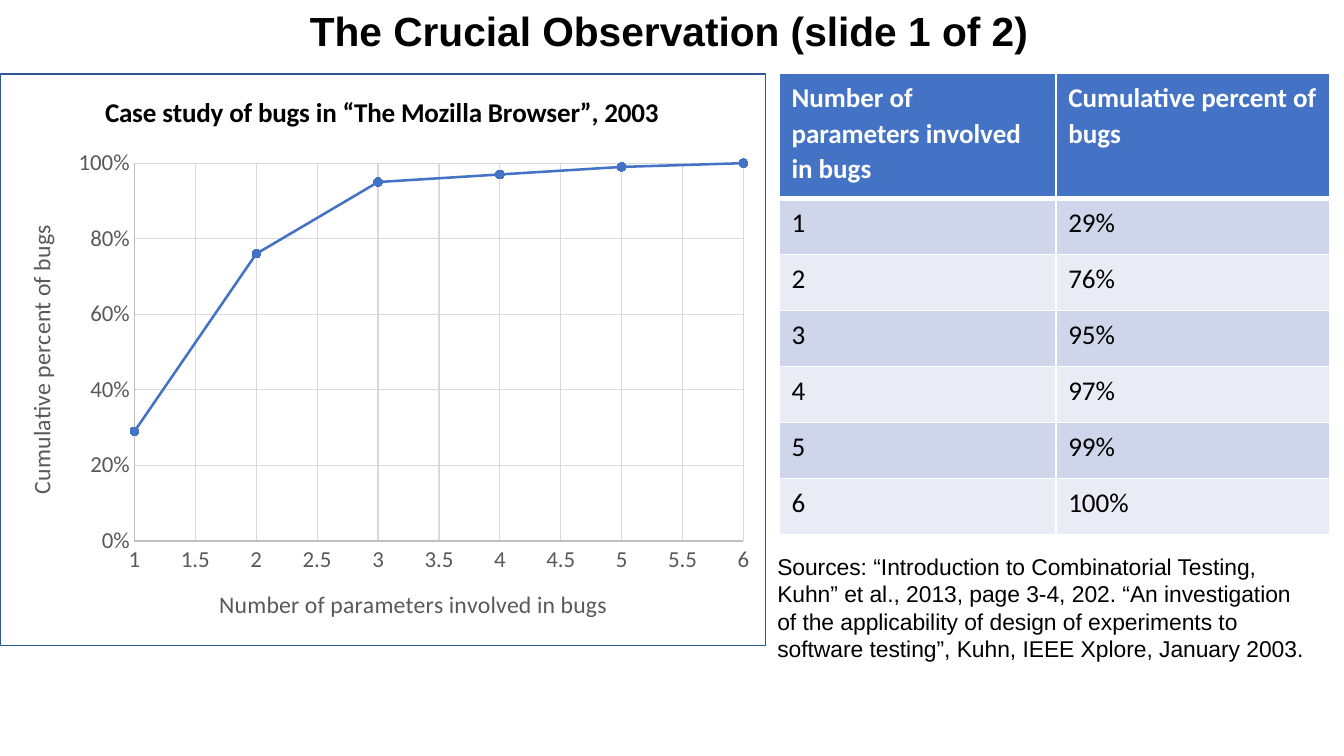
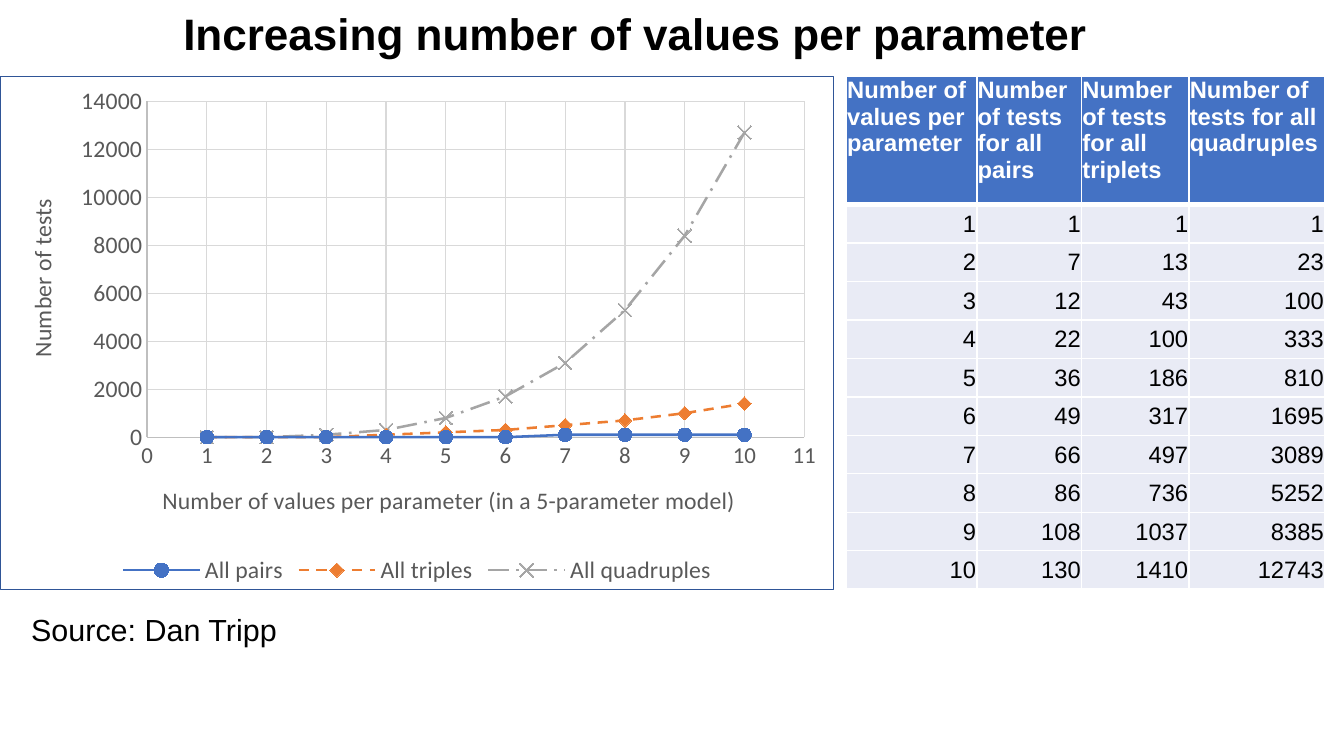
import pptx
import pptx.chart.data
import pptx.dml.color
import pptx.enum.chart
import pptx.enum.dml
import pptx.enum.text
import pptx.oxml
import pptx.oxml.ns
import pptx.util
from lxml import etree

Pt = pptx.util.Pt
RGBColor = pptx.dml.color.RGBColor
MARKER = pptx.enum.chart.XL_MARKER_STYLE
DASH = pptx.enum.dml.MSO_LINE
ALIGN = pptx.enum.text.PP_ALIGN
ANCHOR = pptx.enum.text.MSO_ANCHOR
qn = pptx.oxml.ns.qn

# Shared look
BLACK = RGBColor(0x00, 0x00, 0x00)
WHITE = RGBColor(0xFF, 0xFF, 0xFF)
GREY_TEXT = RGBColor(0x59, 0x59, 0x59)
AXIS_LINE = RGBColor(0xBF, 0xBF, 0xBF)
GRID_LINE = RGBColor(0xD9, 0xD9, 0xD9)
FRAME_LINE = RGBColor(0x2F, 0x55, 0x97)
BLUE = RGBColor(0x44, 0x72, 0xC4)
ORANGE = RGBColor(0xED, 0x7D, 0x31)
GREY = RGBColor(0xA5, 0xA5, 0xA5)
BAND_DARK = RGBColor(0xCF, 0xD5, 0xEA)
BAND_LIGHT = RGBColor(0xE9, 0xEB, 0xF5)
AXIS_FONT = {"name": "Calibri", "size": Pt(14), "bold": False, "color": GREY_TEXT}
SLIDE_SIZE = (793.44, 446.4)

# Content
BUG_ROWS = [(1, 0.29), (2, 0.76), (3, 0.95), (4, 0.97), (5, 0.99), (6, 1)]
TEST_ROWS = [
    (1, 1, 1, 1), (2, 7, 13, 23), (3, 12, 43, 100), (4, 22, 100, 333),
    (5, 36, 186, 810), (6, 49, 317, 1695), (7, 66, 497, 3089),
    (8, 86, 736, 5252), (9, 108, 1037, 8385), (10, 130, 1410, 12743),
]

# Boxes are left, top, width, height in points; chart layouts are fractions
SLIDES = [
    {
        "title": {"text": "The Crucial Observation (slide 1 of 2)",
                  "box": (175.7, 0, 442, 36), "size": 24},
        "chart": {
            "box": (0, 43.4, 452.4, 338.2),
            "plot": (0.175, 0.156, 0.796, 0.661),
            "rows": BUG_ROWS, "digits": 2,
            "series": [("Series 1", BLUE, None, MARKER.CIRCLE, 5)],
            "title": ("Case study of bugs in “The Mozilla Browser”, 2003", (0.13, 0.027)),
            "x_title": ("Number of parameters involved in bugs", (0.28, 0.892)),
            "y_title": ("Cumulative percent of bugs", (0.026, 0.257)),
            "x_scale": (1, 6, 0.5), "y_scale": (0, 1, 0.2),
            "y_format": "0%", "y_size": 13.5, "legend": False,
        },
        "table": {
            "box": (460.1, 43.4), "columns": (163.4, 161.3), "heights": (73.8, 33.1),
            "head": ["Number of parameters involved in bugs", "Cumulative percent of bugs"],
            "rows": [(count, f"{share:.0%}") for count, share in BUG_ROWS],
            "bands": (BAND_DARK, BAND_LIGHT),
            "font": {"name": "Calibri", "size": Pt(16)},
            "para": {"line_spacing": 1.07, "space_after": Pt(8)},
            "body_para": {}, "cell": {}, "body_cell": {},
        },
        "source": {
            "text": "Sources: “Introduction to Combinatorial Testing, Kuhn” et al., 2013, "
                    "page 3-4, 202. “An investigation of the applicability of design of "
                    "experiments to software testing”, Kuhn, IEEE Xplore, January 2003.",
            "box": (451.8, 322.8, 330, 69.8), "size": 13.5},
    },
    {
        "title": {"text": "Increasing number of values per parameter",
                  "box": (101, 0, 553.7, 38.9), "size": 26},
        "chart": {
            "box": (0, 45, 492.4, 303.5),
            "plot": (0.176, 0.048, 0.789, 0.655),
            "rows": TEST_ROWS, "digits": -2,
            "series": [("All pairs", BLUE, None, MARKER.CIRCLE, 8),
                       ("All triples", ORANGE, DASH.DASH, MARKER.DIAMOND, 8),
                       ("All quadruples", GREY, DASH.LONG_DASH_DOT, MARKER.X, 8)],
            "title": None,
            "x_title": ("Number of values per parameter (in a 5-parameter model)", (0.189, 0.785)),
            "y_title": ("Number of tests", (0.025, 0.23)),
            "x_scale": (0, 11, 1), "y_scale": (0, 14000, 2000),
            "y_format": "General", "y_size": 14, "legend": True,
        },
        "table": {
            "box": (499.7, 45), "columns": (77, 61.9, 63.4, 80.1), "heights": (75.8, 22.73),
            "head": ["Number of values per parameter", "Number of tests for all pairs",
                     "Number of tests for all triplets", "Number of tests for all quadruples"],
            "rows": TEST_ROWS,
            "bands": (BAND_LIGHT, BAND_LIGHT),
            "font": {"name": "Arial", "size": Pt(14)},
            "para": {}, "body_para": {"alignment": ALIGN.RIGHT},
            "cell": {"margin_left": Pt(0.5), "margin_right": Pt(0.5),
                     "margin_top": Pt(0.5), "margin_bottom": 0},
            "body_cell": {"vertical_anchor": ANCHOR.MIDDLE},
        },
        "source": {"text": "Source: Dan Tripp", "box": (11.3, 357.1, 171.4, 28.1), "size": 18},
    },
]


def apply(target, values):
    for name, value in values.items():
        if name == "color":
            target.color.rgb = value
        else:
            setattr(target, name, value)


def points(values):
    return [Pt(value) for value in values]


def write(frame, text, font, para_format):
    frame.text = text
    para = frame.paragraphs[0]
    apply(para, para_format)
    apply(para.runs[0].font, font)


def add_title(page, title):
    box = page.shapes.title
    box.left, box.top, box.width, box.height = points(title["box"])
    write(box.text_frame, title["text"],
          {"name": "Arial", "size": Pt(title["size"]), "bold": True, "color": BLACK},
          {"alignment": ALIGN.LEFT})
    apply(box.text_frame, {"word_wrap": False, "vertical_anchor": ANCHOR.TOP,
                           "auto_size": pptx.enum.text.MSO_AUTO_SIZE.NONE})


def add_source(page, source):
    box = page.shapes.add_textbox(*points(source["box"]))
    box.text_frame.word_wrap = True
    write(box.text_frame, source["text"],
          {"name": "Arial", "size": Pt(source["size"]), "color": BLACK}, {})


# Chart
def manual_layout(fractions, inner=False):
    layout = etree.Element(qn("c:layout"))
    manual = etree.SubElement(layout, qn("c:manualLayout"))
    settings = [("layoutTarget", "inner")] if inner else []
    settings += [("xMode", "edge"), ("yMode", "edge")]
    settings += zip("xywh", fractions)
    for tag, value in settings:
        etree.SubElement(manual, qn(f"c:{tag}")).set("val", str(value))
    return layout


def set_layout(parent, layout, after=None):
    for old in parent.findall(qn("c:layout")):
        parent.remove(old)
    if after is None:
        parent.insert(0, layout)
    else:
        parent.find(qn(after)).addnext(layout)


def set_chart_title(owner, label, font):
    text, corner = label
    title = getattr(owner, "axis_title", None) or owner.chart_title
    write(title.text_frame, text, font, {})
    element = title.text_frame._txBody.getparent().getparent()
    set_layout(element, manual_layout(corner), "c:tx")


def format_axis(axis, scale, label, size, number_format):
    low, high, step = scale
    apply(axis, {"minimum_scale": low, "maximum_scale": high, "major_unit": step,
                 "has_major_gridlines": True, "has_title": True,
                 "major_tick_mark": pptx.enum.chart.XL_TICK_MARK.NONE,
                 "minor_tick_mark": pptx.enum.chart.XL_TICK_MARK.NONE})
    for line, color in ((axis.format.line, AXIS_LINE),
                        (axis.major_gridlines.format.line, GRID_LINE)):
        apply(line, {"color": color, "width": Pt(0.75)})
    apply(axis.tick_labels, {"number_format": number_format,
                             "number_format_is_linked": False})
    apply(axis.tick_labels.font, {**AXIS_FONT, "size": Pt(size)})
    set_chart_title(axis, label, AXIS_FONT)


def format_series(series, color, dash, marker, size):
    series.smooth = False
    apply(series.format.line, {"color": color, "width": Pt(1.5)})
    if dash:
        series.format.line.dash_style = dash
    apply(series.marker, {"style": marker, "size": size})
    if marker == MARKER.X:
        series.marker.format.fill.background()
    else:
        series.marker.format.fill.solid()
        series.marker.format.fill.fore_color.rgb = color
    apply(series.marker.format.line, {"color": color, "width": Pt(0.75)})


def add_line_chart(page, plan):
    data = pptx.chart.data.XyChartData()
    for column, (name, *_) in enumerate(plan["series"], start=1):
        series = data.add_series(name)
        for row in plan["rows"]:
            series.add_data_point(row[0], round(row[column], plan["digits"]))
    chart = page.shapes.add_chart(pptx.enum.chart.XL_CHART_TYPE.XY_SCATTER_LINES,
                                  *points(plan["box"]), data).chart
    apply(chart.font, {"name": "Calibri", "size": Pt(10), "color": BLACK})
    apply(chart, {"has_title": bool(plan["title"]), "has_legend": plan["legend"]})
    chart.plots[0].vary_by_categories = False
    if plan["title"]:
        set_chart_title(chart, plan["title"],
                        {"name": "Calibri", "size": Pt(16), "bold": True, "color": BLACK})
    if plan["legend"]:
        apply(chart.legend, {"position": pptx.enum.chart.XL_LEGEND_POSITION.BOTTOM,
                             "include_in_layout": False})
        apply(chart.legend.font, AXIS_FONT)
    format_axis(chart.category_axis, plan["x_scale"], plan["x_title"], 13.5, "General")
    format_axis(chart.value_axis, plan["y_scale"], plan["y_title"],
                plan["y_size"], plan["y_format"])
    for series, (_, *style) in zip(chart.plots[0].series, plan["series"]):
        format_series(series, *style)

    # Plot area and outer frame
    root = chart.element
    set_layout(root.find(".//" + qn("c:plotArea")), manual_layout(plan["plot"], True))
    frame = pptx.oxml.parse_xml(
        f'<c:spPr {pptx.oxml.ns.nsdecls("c", "a")}>'
        f'<a:solidFill><a:srgbClr val="{WHITE}"/></a:solidFill>'
        f'<a:ln w="{Pt(0.75)}"><a:solidFill><a:srgbClr val="{FRAME_LINE}"/></a:solidFill></a:ln>'
        '</c:spPr>')
    root.find(qn("c:chart")).addnext(frame)


# Table
def add_borders(cell, widths):
    properties = cell._tc.get_or_add_tcPr()
    for side, width in widths.items():
        properties.append(pptx.oxml.parse_xml(
            f'<a:ln{side} {pptx.oxml.ns.nsdecls("a")} w="{Pt(width)}"><a:solidFill>'
            f'<a:srgbClr val="{WHITE}"/></a:solidFill></a:ln{side}>'))


def add_data_table(page, plan):
    rows = [plan["head"], *plan["rows"]]
    head_height, row_height = plan["heights"]
    heights = [head_height] + [row_height] * len(plan["rows"])
    size = (sum(plan["columns"]), sum(heights))
    table = page.shapes.add_table(len(rows), len(plan["columns"]),
                                  *points(plan["box"] + size)).table
    table.horz_banding = False
    for column, width in zip(table.columns, plan["columns"]):
        column.width = Pt(width)
    for index, (row, values) in enumerate(zip(table.rows, rows)):
        row.height = Pt(heights[index])
        is_head = index == 0
        fill = BLUE if is_head else plan["bands"][(index - 1) % 2]
        font = {**plan["font"], "bold": is_head, "color": WHITE if is_head else BLACK}
        para_format = {**plan["para"], **({} if is_head else plan["body_para"])}
        cell_format = {**plan["cell"], **({} if is_head else plan["body_cell"])}
        borders = {"L": 1, "R": 1, "T": 3 if index == 1 else 1, "B": 3 if is_head else 1}
        for cell, value in zip(row.cells, values):
            write(cell.text_frame, str(value), font, para_format)
            apply(cell, cell_format)
            add_borders(cell, borders)
            cell.fill.solid()
            cell.fill.fore_color.rgb = fill


def main():
    deck = pptx.Presentation()
    deck.slide_width, deck.slide_height = points(SLIDE_SIZE)
    for plan in SLIDES:
        page = deck.slides.add_slide(deck.slide_layouts[5])
        add_title(page, plan["title"])
        add_line_chart(page, plan["chart"])
        add_data_table(page, plan["table"])
        add_source(page, plan["source"])
    deck.save("out.pptx")


if __name__ == "__main__":
    main()
